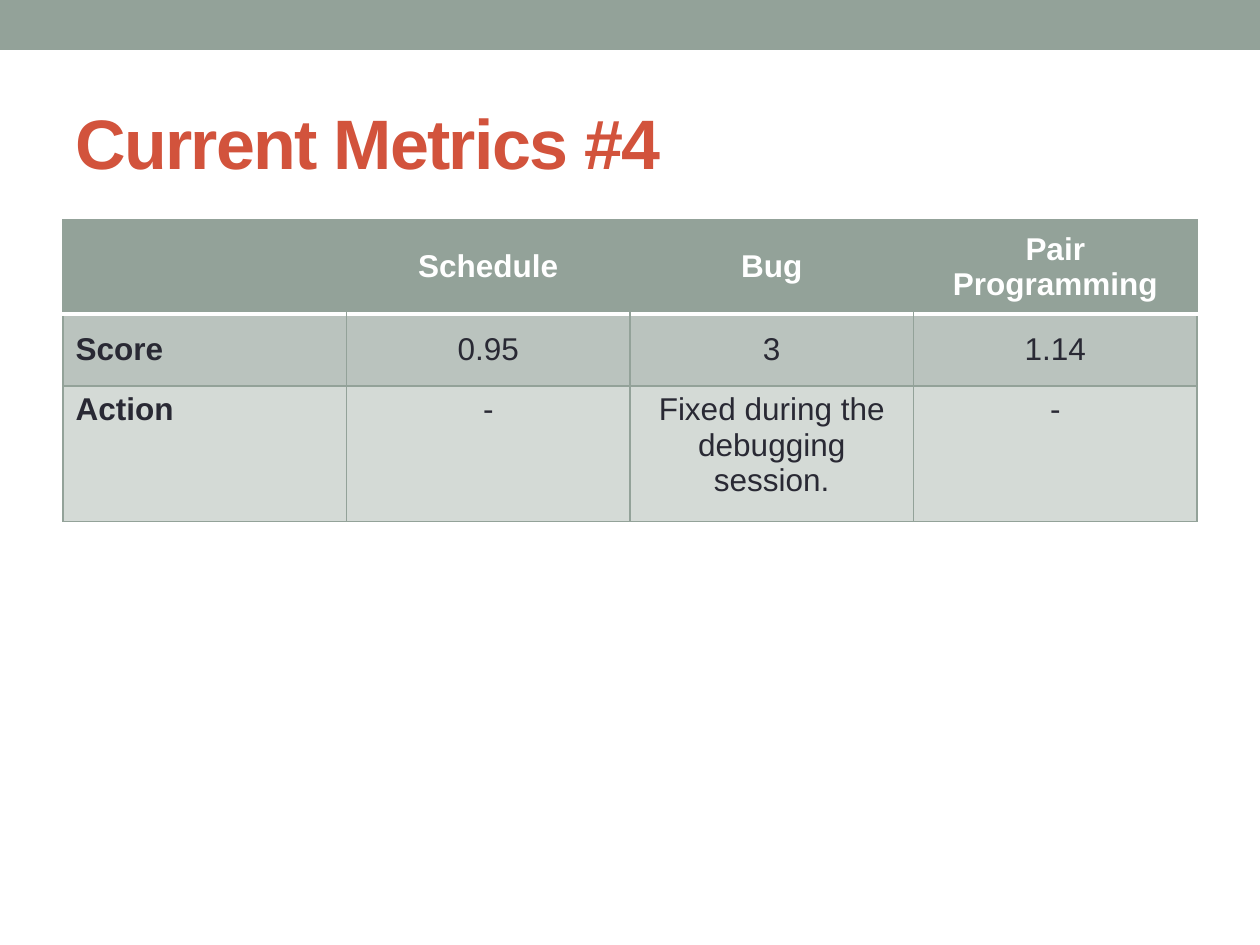
import pptx
import pptx.util
import pptx.dml.color
import pptx.enum.shapes
import pptx.enum.text
import pptx.oxml
import pptx.oxml.ns

TITLE = "Current Metrics #4"
ROWS = [
    ["", "Schedule", "Bug", "Pair Programming"],
    ["Score", "0.95", "3", "1.14"],
    ["Action", "-", "Fixed during the debugging session.", "-"],
]
HEIGHTS = [94, 72, 136]
FILLS = ["93A299", "BAC3BE", "D4DAD6"]
SAGE, WHITE, RED, INK = "93A299", "FFFFFF", "D2533C", "292934"
FONT = "Arial"
WIDTH, HEIGHT = 1260, 945
LEFT, TOP, SPAN = 63, 220, 1134

ALIGN = pptx.enum.text.PP_ALIGN
ANCHOR = pptx.enum.text.MSO_ANCHOR


def px(n):
    return pptx.util.Emu(round(n * 914400 / 126))


def color(code):
    return pptx.dml.color.RGBColor.from_string(code)


def style(par, size, code, bold, align):
    par.alignment = align
    font = par.font
    font.name, font.size, font.bold = FONT, pptx.util.Pt(size), bold
    font.color.rgb = color(code)


def paint(item, code):
    item.fill.solid()
    item.fill.fore_color.rgb = color(code)


def border(cell, sides):
    """Draw cell edges; sides maps L, R, T, B to (colour, points) or None."""
    props = cell._tc.get_or_add_tcPr()
    for spot, side in enumerate("LRTB"):
        code, size = sides[side] or (None, 0)
        fill = (f'<a:solidFill><a:srgbClr val="{code}"/></a:solidFill>'
                if code else "<a:noFill/>")
        line = pptx.oxml.parse_xml(
            f'<a:ln{side} {pptx.oxml.ns.nsdecls("a")} '
            f'w="{pptx.util.Pt(size)}">{fill}</a:ln{side}>')
        props.insert(spot, line)


def edges(row, col):
    thin, thick = (SAGE, 0.75), (WHITE, 2.08)
    sides = dict.fromkeys("LRTB", thin)
    if row == 0:
        sides["B"] = thick
        if col > 0:
            sides["L"] = None
        if col < len(ROWS[0]) - 1:
            sides["R"] = None
    elif row == 1:
        sides["T"] = thick
    return sides


def add_title(slide):
    title = slide.shapes.title
    title.left, title.top = px(LEFT), px(73)
    title.width, title.height = px(SPAN), px(136)
    frame = title.text_frame
    frame.text = TITLE
    frame.vertical_anchor = ANCHOR.MIDDLE
    par = frame.paragraphs[0]
    style(par, 40, RED, True, ALIGN.LEFT)
    par.runs[0].font._element.set("spc", "-100")


def add_metrics(slide):
    count = len(ROWS[0])
    table = slide.shapes.add_table(
        len(ROWS), count, px(LEFT), px(TOP), px(SPAN), px(sum(HEIGHTS))).table
    for col in table.columns:
        col.width = px(SPAN / count)
    for r, texts in enumerate(ROWS):
        table.rows[r].height = px(HEIGHTS[r])
        for c, text in enumerate(texts):
            cell = table.cell(r, c)
            cell.text = text
            cell.vertical_anchor = ANCHOR.TOP if r == 2 else ANCHOR.MIDDLE
            style(cell.text_frame.paragraphs[0], 18, INK if r else WHITE,
                  r == 0 or c == 0, ALIGN.CENTER if c else ALIGN.LEFT)
            paint(cell, FILLS[r])
            border(cell, edges(r, c))


def main():
    deck = pptx.Presentation()
    deck.slide_width, deck.slide_height = px(WIDTH), px(HEIGHT)
    slide = deck.slides.add_slide(deck.slide_layouts[5])
    band = slide.shapes.add_shape(
        pptx.enum.shapes.MSO_SHAPE.RECTANGLE, 0, 0, px(WIDTH), px(50))
    band.shadow.inherit = False
    paint(band, SAGE)
    band.line.fill.background()
    add_title(slide)
    add_metrics(slide)
    deck.save("out.pptx")


if __name__ == "__main__":
    main()
